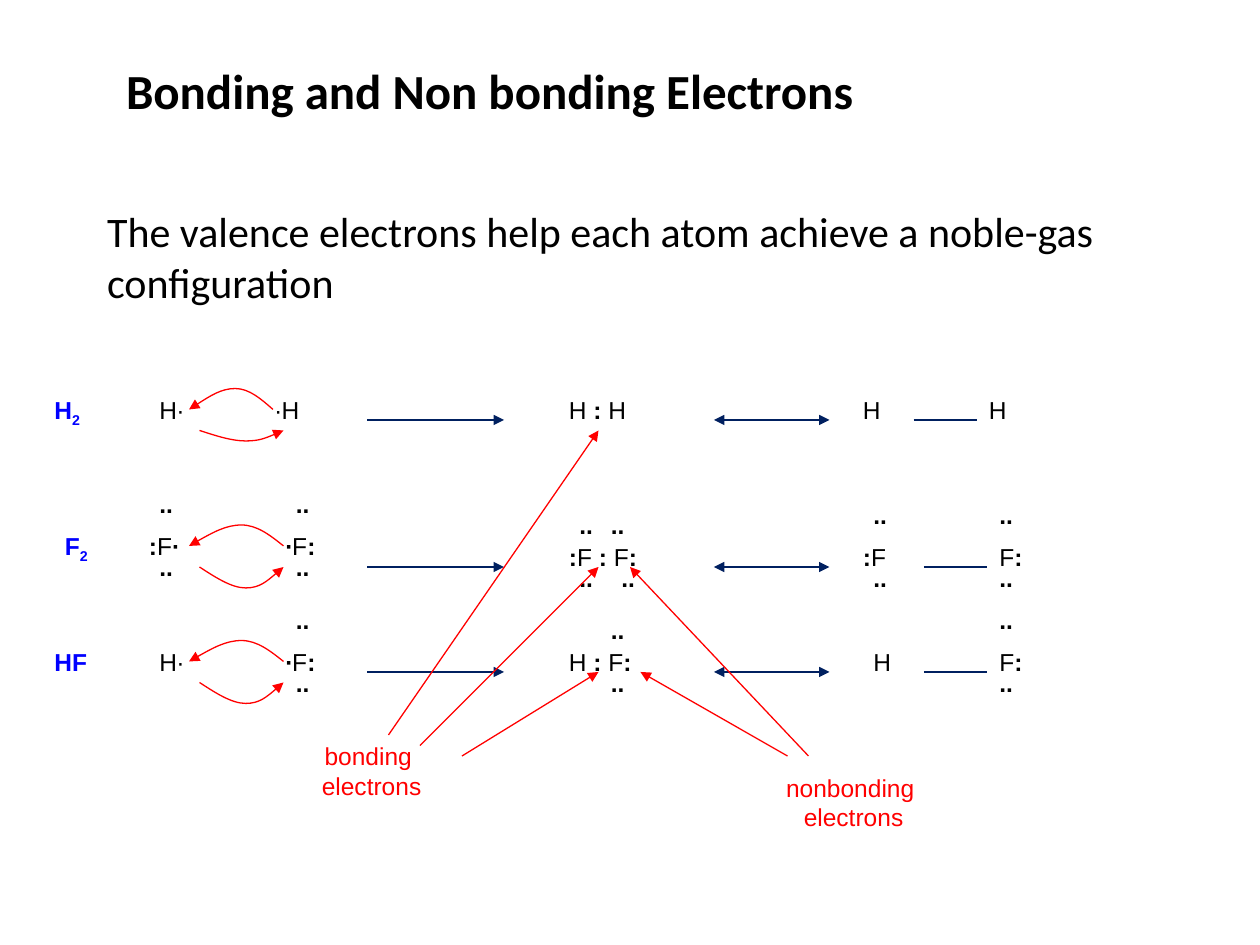
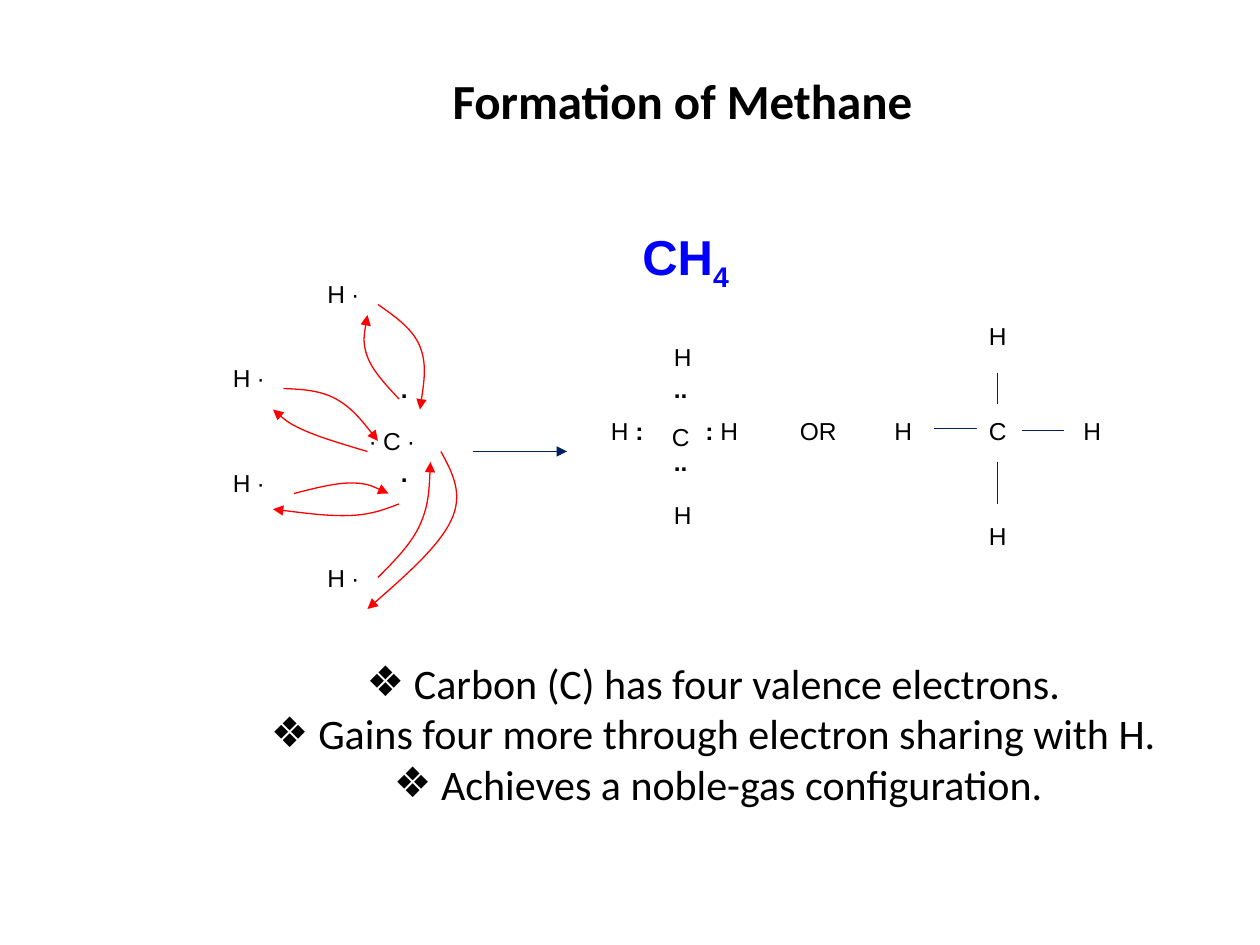
from dataclasses import dataclass
from typing import Any

from pptx import Presentation
from pptx import util as u
from pptx.dml.color import RGBColor
from pptx.enum import shapes, text
from pptx.oxml import ns
from lxml import etree

COLORS = {"ink": "000000", "formula": "0000FF", "electron": "FF0000", "bond": "002060"}
CELL = u.Inches(1) // 12  # the slide is a grid of 120 columns by 90 rows
COLS, ROWS = 120, 90
LEFT, CENTER = text.PP_ALIGN.LEFT, text.PP_ALIGN.CENTER


def color(name):
    return RGBColor.from_string(COLORS[name])


def sub(parent, tag, **attrs):
    return etree.SubElement(parent, ns.qn(tag), attrs)


def add_run(p, words, size, ink="ink", font="Arial", bold=False, lowered=False):
    r = p.add_run()
    r.text = words
    r.font.size, r.font.name, r.font.bold = u.Pt(size), font, bold
    r.font.color.rgb = color(ink)
    if lowered:
        r._r.get_or_add_rPr().set("baseline", "-25000")


def style_line(sp, ink, ends=()):
    """Thin coloured line; ends holds "headEnd" and/or "tailEnd" for arrowheads."""
    sp.line.color.rgb = color(ink)
    sp.line.width = u.Pt(0.75)
    ln = sp.line._get_or_add_ln()
    for end in ends:
        sub(ln, f"a:{end}", type="triangle")


# Placeholders shared by both slides
def place(sp, left, top, width, height):
    sp.left, sp.top, sp.width, sp.height = (int(v * CELL) for v in (left, top, width, height))
    tf = sp.text_frame
    tf.word_wrap, tf.auto_size = True, text.MSO_AUTO_SIZE.NONE
    tf.vertical_anchor = text.MSO_ANCHOR.TOP
    return tf


def set_title(s, words, box):
    p = place(s.shapes.title, *box).paragraphs[0]
    p.alignment = LEFT
    add_run(p, words, 28, font="Calibri", bold=True)


def set_body(s, lines, box, align, bullet=None):
    tf = place(s.placeholders[1], *box)
    for i, line in enumerate(lines):
        p = tf.add_paragraph() if i else tf.paragraphs[0]
        p.alignment, p.space_before = align, u.Pt(0)
        pPr = p._p.get_or_add_pPr()
        if bullet:
            sub(pPr, "a:buChar", char=bullet)
        else:
            pPr.set("marL", "0")
            pPr.set("indent", "0")
            sub(pPr, "a:buNone")
        add_run(p, line, 24, font="Calibri")


@dataclass
class Region:
    """A part of a slide; positions count grid cells from its corner."""
    s: Any
    left: float = 0
    top: float = 0

    def at(self, col, row):
        return int((self.left + col) * CELL), int((self.top + row) * CELL)

    def box(self, col, row, width, height=6):
        sp = self.s.shapes.add_textbox(*self.at(col, row), int(width * CELL), int(height * CELL))
        sp.text_frame.word_wrap = True
        return sp.text_frame

    def symbols(self, words, col, row):
        """Atoms and electron dots; text between asterisks is bold."""
        parts = words.split("*")
        width = 2.4 + sum(2.9 if c.isupper() else 1 for c in "".join(parts))
        p = self.box(col, row, width).paragraphs[0]
        for i, part in enumerate(parts):
            if part:
                add_run(p, part, 14, bold=i % 2 == 1)

    def formula(self, words, col, row, size=14):
        width = 2.4 + size / 14 * sum(2.9 if c.isupper() else 1 for c in words)
        p = self.box(col, row, width).paragraphs[0]
        letters = words.rstrip("0123456789")
        add_run(p, letters, size, "formula", bold=True)
        if letters != words:
            add_run(p, words[len(letters):], size, "formula", bold=True, lowered=True)

    def caption(self, lines, col, row, width):
        tf = self.box(col, row, width, 10.8)
        for i, line in enumerate(lines):
            p = tf.add_paragraph() if i else tf.paragraphs[0]
            p.alignment = CENTER
            add_run(p, line, 14, "electron")

    def line(self, start, end, ink="bond", ends=()):
        sp = self.s.shapes.add_connector(
            shapes.MSO_CONNECTOR.STRAIGHT, *self.at(*start), *self.at(*end))
        style_line(sp, ink, ends)
        sub(sp._element.spPr, "a:effectLst")

    def electron_path(self, start, mid, end):
        """Smooth arrow through three points, as two Bezier segments."""
        tangent = [(b - a) / 6 for a, b in zip(start, end)]
        before = [m - t for m, t in zip(mid, tangent)]
        after = [m + t for m, t in zip(mid, tangent)]
        halfway = lambda a, b: [(x + y) / 2 for x, y in zip(a, b)]
        points = [halfway(start, before), before, mid, after, halfway(after, end), end]
        builder = self.s.shapes.build_freeform(*self.at(*start))
        builder.add_line_segments([self.at(*pt) for pt in points], close=False)
        sp = builder.convert_to_shape()
        # Gather each three straight steps into one curve
        steps = list(sp._element.iter(ns.qn("a:lnTo")))
        for i in range(0, len(steps), 3):
            curve = etree.Element(ns.qn("a:cubicBezTo"))
            steps[i].addprevious(curve)
            for step in steps[i:i + 3]:
                curve.append(step[0])
                step.getparent().remove(step)
        sp.fill.background()
        sp.shadow.inherit = False
        style_line(sp, "electron", ["tailEnd"])


@dataclass
class Molecule:
    row: int
    name: tuple     # text and column
    atoms: tuple    # left and right atom: text and column
    pair: tuple     # shared pair: text and row
    bonded: tuple   # atoms joined by a line: text and column
    arrow_row: int
    bond_col: int
    arcs: tuple     # upper middle column, upper end column, lower depth
    lone_pairs: tuple = ()


MOLECULES = [
    Molecule(37, ("H2", 4), (("H∙", 14), ("∙H", 25)), ("H *:* H", 0),
             (("H", 81), ("H", 93)), 3, 87, (22.4, 26, 1)),
    Molecule(50, ("F2", 5), (("*:*F*∙*", 13), ("*∙*F*:*", 26)), ("*:*F *:* F*:*", 1),
             (("*:*F", 81), ("F*:*", 94)), 4, 88, (23, 27, 2),
             ((14, -4), (14, 2), (27, -4), (27, 2), (54, -2), (57, -2), (54, 3), (58, 3),
              (82, -3), (82, 3), (94, -3), (94, 3))),
    Molecule(61, ("HF", 4), (("H∙", 14), ("*∙*F*:*", 26)), ("H *:* F*:*", 0),
             (("H", 82), ("F*:*", 94)), 3, 88, (23, 27, 2),
             ((27, -4), (27, 2), (57, -3), (57, 2), (94, -4), (94, 2))),
]


def molecule_row(s, m):
    area = Region(s, 0, m.row)
    area.formula(*m.name, 0)
    for words, col in m.atoms:
        area.symbols(words, col, 0)
    pair, pair_row = m.pair
    area.symbols(pair, 53, pair_row)
    for words, col in m.bonded:
        area.symbols(words, col, pair_row)
    for col, row in m.lone_pairs:
        area.symbols("*..*", col, row)
    y = m.arrow_row
    area.line((35, y), (48, y), ends=["tailEnd"])
    area.line((68, y), (79, y), ends=["headEnd", "tailEnd"])
    area.line((m.bond_col, y), (m.bond_col + 6, y))
    mid, end, depth = m.arcs
    area.electron_path((end, 2), (mid, 0), (18, 2))
    lower_start = 19
    area.electron_path((lower_start, 4), (23.4, 4 + depth), (27, 4))


def electron_callouts(s):
    area = Region(s, 27, 70)
    area.caption(["bonding ", "electrons"], 0, 0, 16.8)
    area.caption(["nonbonding ", "electrons"], 43, 3, 22.6)
    for start, end in [((17, 2), (30, -6)), ((13, 1), (30, -16)), ((10, 0), (30, -29)),
                       ((48, 2), (34, -6)), ((50, 2), (33, -16))]:
        area.line(start, end, "electron", ["tailEnd"])


# Methane: separate atoms, shared pairs, bond lines
def methane_sharing(s):
    area = Region(s, 21, 26)
    for col, row in [(9, 0), (0, 8), (0, 18), (9, 27)]:
        area.symbols("H ∙", col, row)
    area.symbols("∙ C ∙", 13, 14)
    for row in (9, 17):
        area.symbols("*.*", 16, row)
    for path_points in [
        ((15, 3), (19, 7), (19, 13)), ((17, 12), (14, 8), (14, 4)),
        ((6, 11), (11, 12), (15, 16)), ((14, 17), (8, 15), (5, 13)),
        ((7, 21), (12.4, 20), (16, 21)), ((17, 22), (12.4, 23.1), (5, 22.5)),
        ((15, 29), (19, 24), (20, 18)), ((21, 17), (22, 23.5), (14, 32)),
    ]:
        area.electron_path(*path_points)
    area.line((24, 17), (33, 17), ends=["tailEnd"])


def methane_pairs(s):
    area = Region(s, 57, 32)
    for words, col, row in [("C", 5.8, 7.6), ("H", 6, 0), ("H", 6, 15), ("H *:*", 0, 7),
                            ("*: *H", 9, 7), ("*..*", 6, 3), ("*..*", 6, 10), ("OR", 18, 7)]:
        area.symbols(words, col, row)


def methane_bonds(s):
    area = Region(s, 84, 30)
    for words, col, row in [("C", 9, 9), ("H", 9, 0), ("H", 0, 9), ("H", 18, 9), ("H", 9, 19)]:
        area.symbols(words, col, row)
    for start, end in [((5, 10.8), (9, 10.8)), ((13.3, 11), (17.3, 11)),
                       ((11, 5.5), (11, 8.5)), ((11, 14), (11, 18))]:
        area.line(start, end)


def electrons_slide(s):
    set_title(s, "Bonding and Non bonding Electrons", (10.8, 5.2, 89.2, 6.8))
    set_body(s, ["The valence electrons help each atom achieve a noble-gas configuration"],
             (9, 19, 104, 11), LEFT)
    for m in MOLECULES:
        molecule_row(s, m)
    electron_callouts(s)


def methane_slide(s):
    set_title(s, "Formation of Methane", (41.9, 6.1, 47, 6.8))
    Region(s, 60, 21).formula("CH4", 0, 0, 28)
    methane_sharing(s)
    methane_pairs(s)
    methane_bonds(s)
    set_body(s, ["Carbon (C) has four valence electrons. ",
                 "Gains four more through electron sharing with H. ",
                 "Achieves a noble-gas configuration."],
             (24.1, 62, 88.6, 15.7), CENTER, "❖")


def main():
    prs = Presentation()
    prs.slide_width, prs.slide_height = COLS * CELL, ROWS * CELL
    for build in (electrons_slide, methane_slide):
        build(prs.slides.add_slide(prs.slide_layouts[1]))
    prs.save("out.pptx")


if __name__ == "__main__":
    main()
